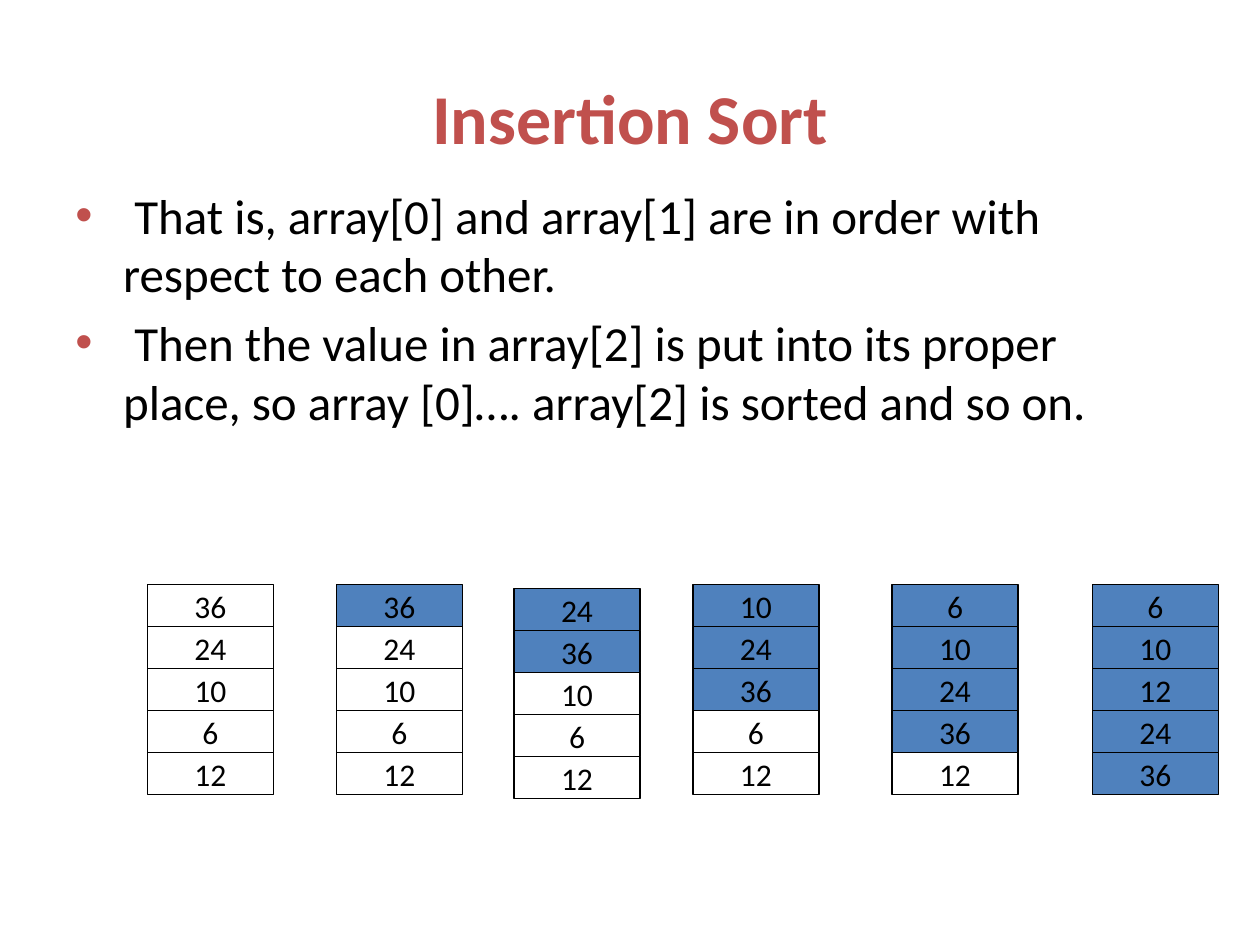
from lxml import etree
from pptx import Presentation
from pptx.dml.color import RGBColor
from pptx.enum.shapes import MSO_SHAPE
from pptx.enum.text import MSO_ANCHOR, PP_ALIGN
from pptx.oxml.ns import qn
from pptx.util import Inches, Pt

COLORS = {"accent": "C0504D", "sorted": "4F81BD", "ink": "000000"}
VALUES = [36, 24, 10, 6, 12]
COLUMN_LEFTS = [1.17, 2.67, 4.08, 5.5, 7.08, 8.67]
COLUMN_TOP = 4.64
LOWERED_STEP, LOWERED_BY = 2, 0.03
CELL_WIDTH, CELL_HEIGHT = 1, 1 / 3
BULLETS = [
    " That is, array[0] and array[1] are in order with respect to each other.",
    " Then the value in array[2] is put into its proper place, "
    "so array [0]\u2026. array[2] is sorted and so on.",
]


def rgb(name):
    """Return a named colour."""
    return RGBColor.from_string(COLORS[name])


class SortSlide:
    """Holds the text style and the current slide."""

    font = "Calibri"

    def __init__(self, prs):
        """Add a title-only slide."""
        self.slide = prs.slides.add_slide(prs.slide_layouts[5])

    def add_text(self, paragraph, text, size, color="ink", bold=False):
        """Add one styled run to a paragraph."""
        run = paragraph.add_run()
        run.text = text
        run.font.name = self.font
        run.font.size = Pt(size)
        run.font.bold = bold
        run.font.color.rgb = rgb(color)

    def title(self, text, left, top, width, height):
        """Place and fill the title placeholder."""
        box = self.slide.shapes.title
        box.left, box.top = Inches(left), Inches(top)
        box.width, box.height = Inches(width), Inches(height)
        box.text_frame.vertical_anchor = MSO_ANCHOR.MIDDLE
        paragraph = box.text_frame.paragraphs[0]
        paragraph.alignment = PP_ALIGN.CENTER
        self.add_text(paragraph, text, 40, "accent", bold=True)

    def bullets(self, items, left, top, width, height):
        """Add a wrapped bullet list."""
        frame = self.slide.shapes.add_textbox(
            Inches(left), Inches(top), Inches(width), Inches(height)).text_frame
        frame.word_wrap = True
        for index, item in enumerate(items):
            paragraph = frame.add_paragraph() if index else frame.paragraphs[0]
            paragraph.space_before = Pt(5.6)
            self.add_text(paragraph, item, 28)
            props = paragraph._p.get_or_add_pPr()
            props.set("marL", str(Inches(0.38)))
            props.set("indent", str(-Inches(0.38)))
            color = etree.SubElement(props, qn("a:buClr"))
            etree.SubElement(color, qn("a:srgbClr"), val=COLORS["accent"])
            etree.SubElement(props, qn("a:buFont"), typeface="Arial")
            etree.SubElement(props, qn("a:buChar"), char="\u2022")

    def cell(self, value, left, top, is_sorted):
        """Add one array cell, filled when it is in the sorted part."""
        box = self.slide.shapes.add_shape(
            MSO_SHAPE.RECTANGLE, Inches(left), Inches(top),
            Inches(CELL_WIDTH), Inches(CELL_HEIGHT))
        box.shadow.inherit = False
        if is_sorted:
            box.fill.solid()
            box.fill.fore_color.rgb = rgb("sorted")
        else:
            box.fill.background()
        box.line.color.rgb = rgb("ink")
        box.line.width = Pt(0.75)
        frame = box.text_frame
        frame.word_wrap = False
        frame.vertical_anchor = MSO_ANCHOR.MIDDLE
        frame.paragraphs[0].alignment = PP_ALIGN.CENTER
        self.add_text(frame.paragraphs[0], str(value), 18)

    def array(self, values, sorted_count, left, top):
        """Stack the cells of one array state."""
        for row, value in enumerate(values):
            self.cell(value, left, top + row * CELL_HEIGHT, row < sorted_count)


def main():
    """Build the slide and save it."""
    prs = Presentation()
    prs.slide_width, prs.slide_height = Inches(10), Inches(7.5)
    page = SortSlide(prs)
    page.title("Insertion Sort", 0.5, 0.3, 9, 1.25)
    page.bullets(BULLETS, 0.5, 1.42, 9, 2.67)
    for step, left in enumerate(COLUMN_LEFTS):
        state = sorted(VALUES[:step]) + VALUES[step:]
        top = COLUMN_TOP + (LOWERED_BY if step == LOWERED_STEP else 0)
        page.array(state, step, left, top)
    prs.save("out.pptx")


main()
